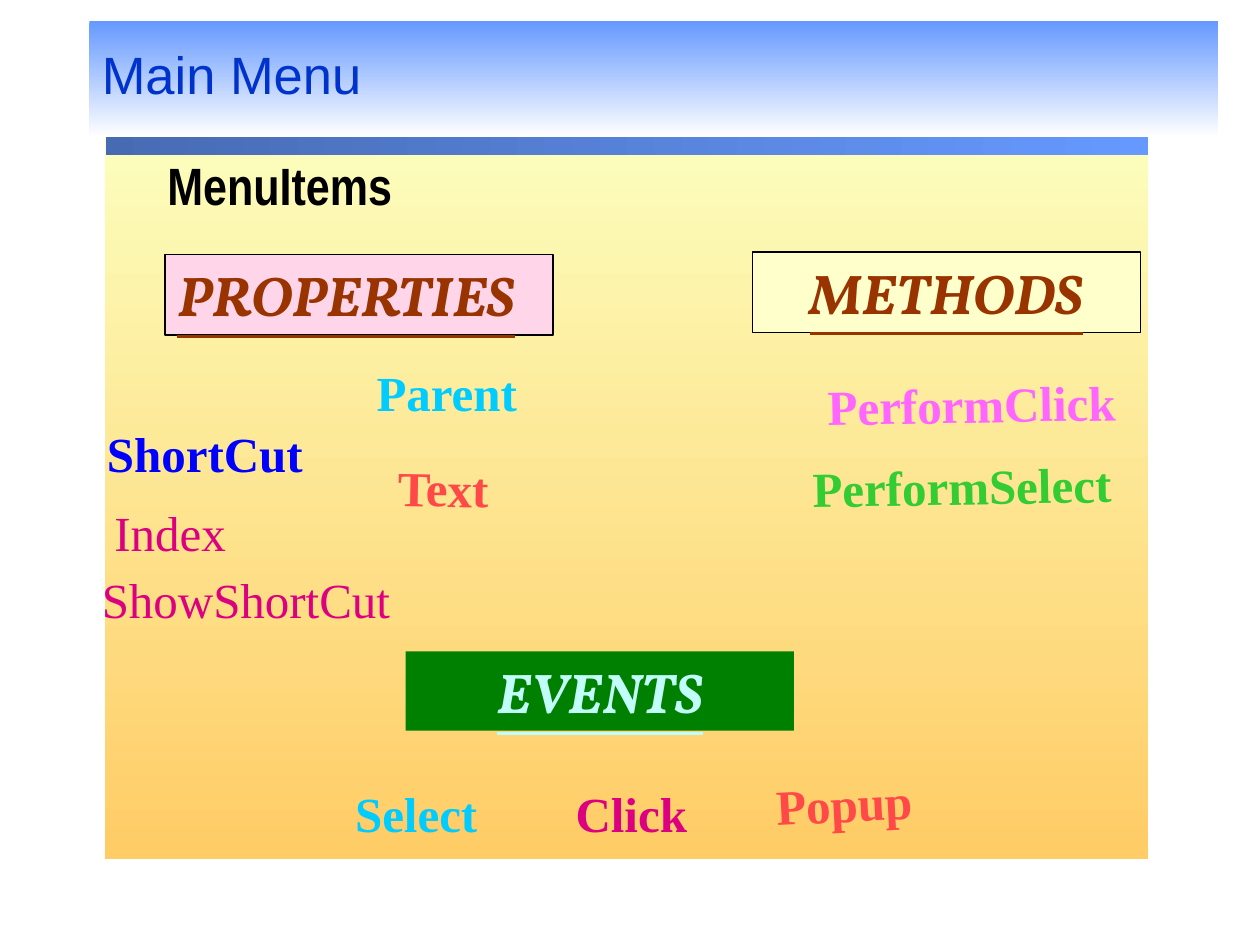
from dataclasses import dataclass

from pptx import Presentation
from pptx.dml.color import RGBColor
from pptx.enum.shapes import MSO_SHAPE
from pptx.enum.text import MSO_ANCHOR, PP_ALIGN
from pptx.util import Inches, Pt

RECTANGLE = MSO_SHAPE.RECTANGLE
TOP, MIDDLE, BOTTOM = MSO_ANCHOR.TOP, MSO_ANCHOR.MIDDLE, MSO_ANCHOR.BOTTOM
LEFT, CENTER = PP_ALIGN.LEFT, PP_ALIGN.CENTER


@dataclass(frozen=True)
class Theme:
    title_font: str = "Arial"
    subtitle_font: str = "Arial Narrow"
    heading_font: str = "Vollkorn"
    member_font: str = "Times New Roman"
    title_size: int = 30
    heading_size: int = 32
    member_size: int = 28
    title: str = "0033CC"
    black: str = "000000"
    white: str = "FFFFFF"
    sky: str = "6699FF"
    steel: str = "476BB3"
    panel_top: str = "FCFEBC"
    panel_bottom: str = "FFCC66"
    pink: str = "FFD5EA"
    cream: str = "FFFFCC"
    green: str = "008000"
    brown: str = "993300"
    ice: str = "C1FEF9"
    cyan: str = "00CCFF"
    coral: str = "FF4949"
    magenta: str = "DC0081"
    blue: str = "0000FF"
    lime: str = "33CC33"
    orchid: str = "FF66FF"


THEME = Theme()
MEMBER_HEIGHT = 0.57


def color(value):
    return RGBColor.from_string(value)


def add_rectangle(page, box):
    shape = page.shapes.add_shape(RECTANGLE, *map(Inches, box))
    shape.shadow.inherit = False
    shape.line.fill.background()
    return shape


def add_gradient(page, box, start, end, angle):
    shape = add_rectangle(page, box)
    shape.fill.gradient()
    shape.fill.gradient_angle = angle
    for stop, value in zip(shape.fill.gradient_stops, (start, end)):
        stop.color.rgb = color(value)
    return shape


def write(shape, text, font, size, value, bold=False, italic=False,
          underline=False, align=LEFT, anchor=TOP, spacing=None):
    frame = shape.text_frame
    frame.text = text
    frame.word_wrap = True
    frame.vertical_anchor = anchor
    para = frame.paragraphs[0]
    para.alignment = align
    para.line_spacing = spacing
    style = para.runs[0].font
    style.name, style.size = font, Pt(size)
    style.color.rgb = color(value)
    style.bold, style.italic, style.underline = bold, italic, underline


def add_background(page, box):
    left, top, width, height = box
    add_gradient(page, box, THEME.panel_top, THEME.panel_bottom, 270)
    strip = (left + 0.01, top - 0.02, width - 0.01, 0.15)
    add_gradient(page, strip, THEME.sky, THEME.steel, 180)


def add_title(page, box):
    banner = add_gradient(page, box, THEME.sky, THEME.white, 270)
    write(banner, "Main Menu", THEME.title_font, THEME.title_size, THEME.title,
          anchor=MIDDLE, spacing=0.8)


def add_subtitle(page, box):
    label = page.shapes.add_textbox(*map(Inches, box))
    write(label, "MenuItems", THEME.subtitle_font, THEME.title_size,
          THEME.black, bold=True, anchor=BOTTOM, spacing=0.8)


def add_member_group(page, box, heading, fill, ink, members,
                     align=CENTER, outlined=True):
    """Heading card, with member names placed from its top left corner."""
    left, top = box[:2]
    card = add_rectangle(page, box)
    card.fill.solid()
    card.fill.fore_color.rgb = color(fill)
    if outlined:
        card.line.color.rgb = color(THEME.black)
        card.line.width = Pt(0.75)
    write(card, heading, THEME.heading_font, THEME.heading_size, ink,
          bold=True, italic=True, underline=True, align=align)
    for name, right, down, width, value, bold, rotation in members:
        label = page.shapes.add_textbox(
            Inches(left + right), Inches(top + down),
            Inches(width), Inches(MEMBER_HEIGHT))
        label.rotation = rotation
        write(label, name, THEME.member_font, THEME.member_size, value, bold)


def main():
    deck = Presentation()
    deck.slide_width, deck.slide_height = Inches(10), Inches(7.5)
    page = deck.slides.add_slide(deck.slide_layouts[6])

    # Backdrop and titles
    add_background(page, (0.83, 1.1, 8.28, 5.72))
    add_title(page, (0.71, 0.17, 8.96, 0.92))
    add_subtitle(page, (1.23, 1.1, 8.52, 0.66))

    # Members: name, offset right, offset down, width, colour, bold, rotation
    properties = [
        ("Parent", 1.58, 0.81, 1.33, THEME.cyan, True, 0),
        ("ShortCut", -0.56, 1.29, 1.81, THEME.blue, True, 0),
        ("Text", 1.75, 1.57, 1.26, THEME.coral, True, 1),
        ("Index", -0.5, 1.92, 1.75, THEME.magenta, False, 0),
        ("ShowShortCut", -0.6, 2.45, 2.67, THEME.magenta, False, 0),
    ]
    methods = [
        ("PerformClick", 0.5, 0.92, 2.53, THEME.orchid, True, 359),
        ("PerformSelect", 0.38, 1.57, 2.6, THEME.lime, True, 359),
    ]
    events = [
        ("Select", -0.5, 1, 1.33, THEME.cyan, True, 0),
        ("Click", 1.25, 1, 1.5, THEME.magenta, True, 0),
        ("Popup", 2.84, 0.91, 1.61, THEME.coral, True, 357),
    ]
    add_member_group(page, (1.31, 2.02, 3.08, 0.64), "PROPERTIES",
                     THEME.pink, THEME.brown, properties, align=LEFT)
    add_member_group(page, (5.97, 2, 3.08, 0.64), "METHODS",
                     THEME.cream, THEME.brown, methods)
    add_member_group(page, (3.22, 5.17, 3.08, 0.63), "EVENTS",
                     THEME.green, THEME.ice, events, outlined=False)

    deck.save("out.pptx")


if __name__ == "__main__":
    main()
